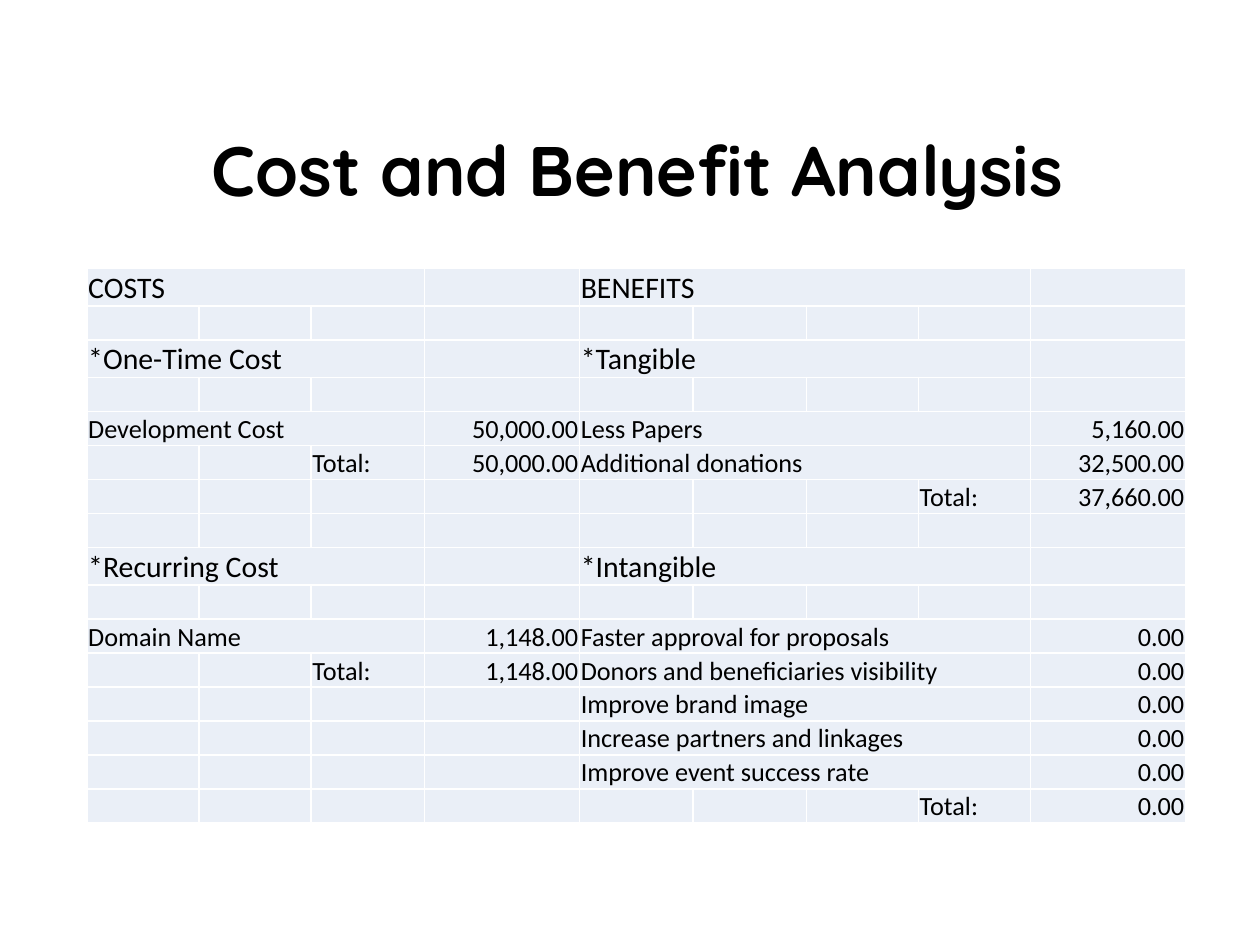
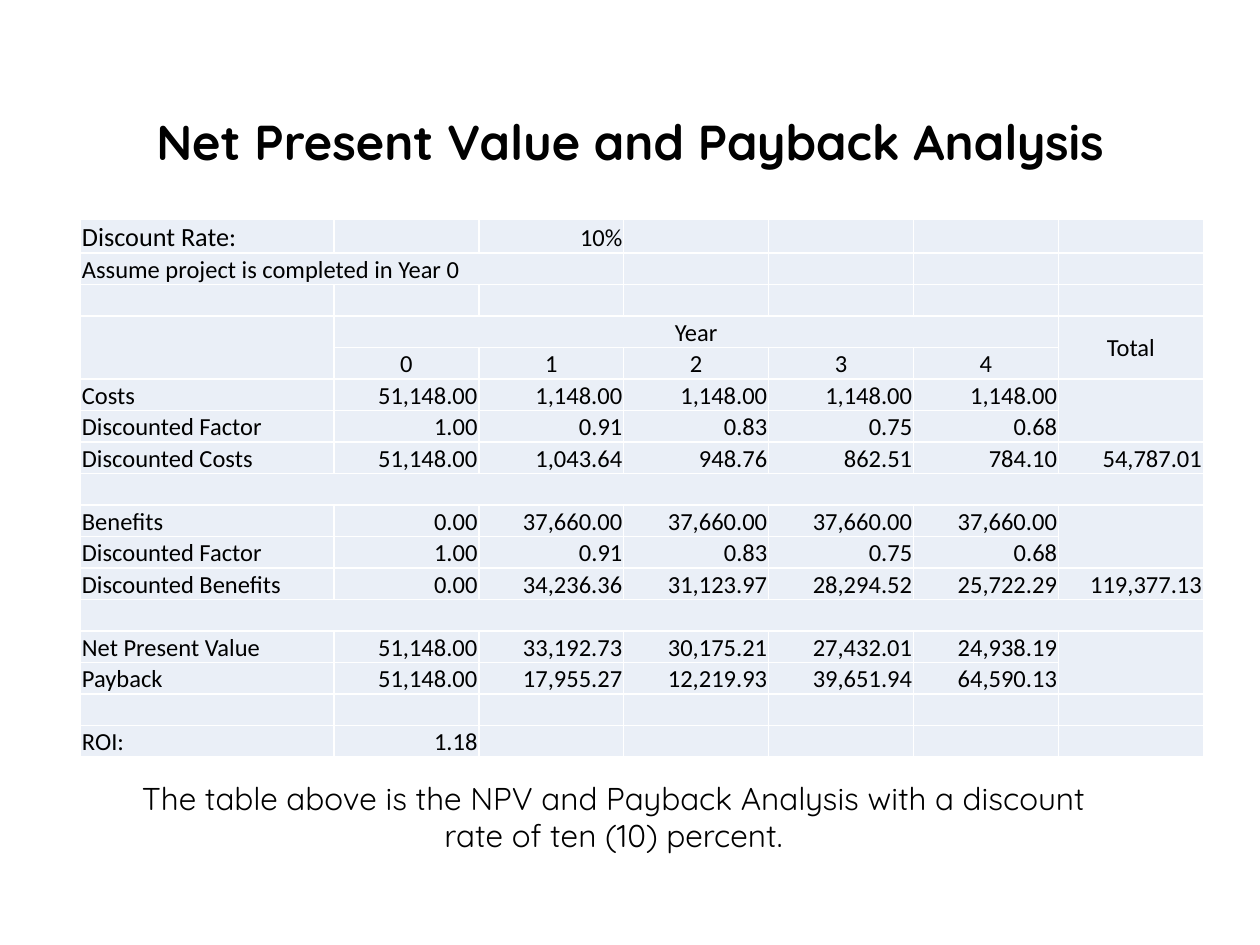
from dataclasses import dataclass

from pptx import Presentation
from pptx.dml.color import RGBColor
from pptx.enum.text import MSO_ANCHOR, MSO_AUTO_SIZE, PP_ALIGN
from pptx.oxml.xmlchemy import OxmlElement
from pptx.presentation import Presentation as Deck
from pptx.slide import Slide
from pptx.table import _Cell
from pptx.text.text import TextFrame
from pptx.util import Inches, Pt


@dataclass(frozen=True)
class Theme:
    ink: str = "000000"
    cell: str = "EAEFF7"
    rule: str = "FFFFFF"
    display_font: str = "Quicksand"
    table_font: str = "Calibri"
    large_title: int = 40
    small_title: int = 28
    caption: int = 18
    heading: int = 17
    entry: int = 15
    compact: int = 14
    rule_width: int = 1


@dataclass(frozen=True)
class Box:
    left: float
    top: float
    width: float
    height: float

    def lengths(self) -> tuple[int, int, int, int]:
        return Inches(self.left), Inches(self.top), Inches(self.width), Inches(self.height)


@dataclass(frozen=True)
class Entry:
    row: int
    column: int
    text: str = ""
    align: PP_ALIGN = PP_ALIGN.LEFT
    size: int = 0
    rows: int = 1
    columns: int = 1
    anchor: MSO_ANCHOR = MSO_ANCHOR.BOTTOM


@dataclass(frozen=True)
class Grid:
    left: float
    top: float
    column_widths: list[float]
    row_heights: list[float]
    size: int
    entries: list[Entry]


THEME = Theme()

COSTS_AND_BENEFITS = [
    ("COSTS", "", "BENEFITS", ""),
    ("", "", "", ""),
    ("*One-Time Cost", "", "*Tangible", ""),
    ("", "", "", ""),
    ("Development Cost", "50,000.00", "Less Papers", "5,160.00"),
    ("Total:", "50,000.00", "Additional donations", "32,500.00"),
    ("", "", "Total:", "37,660.00"),
    ("", "", "", ""),
    ("*Recurring Cost", "", "*Intangible", ""),
    ("", "", "", ""),
    ("Domain Name", "1,148.00", "Faster approval for proposals", "0.00"),
    ("Total:", "1,148.00", "Donors and beneficiaries visibility", "0.00"),
    ("", "", "Improve brand image", "0.00"),
    ("", "", "Increase partners and linkages", "0.00"),
    ("", "", "Improve event success rate", "0.00"),
    ("", "", "Total:", "0.00"),
]

DISCOUNT_FACTORS = ("Discounted Factor", "1.00", "0.91", "0.83", "0.75", "0.68")
YEARLY_FIGURES = {
    5: ("Costs", "51,148.00") + ("1,148.00",) * 4,
    6: DISCOUNT_FACTORS,
    7: ("Discounted Costs", "51,148.00", "1,043.64", "948.76", "862.51", "784.10", "54,787.01"),
    9: ("Benefits", "0.00") + ("37,660.00",) * 4,
    10: DISCOUNT_FACTORS,
    11: ("Discounted Benefits", "0.00", "34,236.36", "31,123.97", "28,294.52", "25,722.29",
         "119,377.13"),
    13: ("Net Present Value", "51,148.00", "33,192.73", "30,175.21", "27,432.01", "24,938.19"),
    14: ("Payback", "51,148.00", "17,955.27", "12,219.93", "39,651.94", "64,590.13"),
    16: ("ROI:", "1.18"),
}


def format_text(frame: TextFrame, font: str, size: int, align: PP_ALIGN, bold: bool = False) -> None:
    for paragraph in frame.paragraphs:
        paragraph.alignment = align
        for run in paragraph.runs:
            run.font.name = font
            run.font.size = Pt(size)
            run.font.bold = bold
            run.font.color.rgb = RGBColor.from_string(THEME.ink)


def add_titled_slide(deck: Deck, text: str, size: int, box: Box) -> Slide:
    slide = deck.slides.add_slide(deck.slide_layouts[5])
    title = slide.shapes.title
    title.left, title.top, title.width, title.height = box.lengths()
    frame = title.text_frame
    frame.text = text
    frame.word_wrap = True
    frame.auto_size = MSO_AUTO_SIZE.NONE
    frame.vertical_anchor = MSO_ANCHOR.MIDDLE
    frame.paragraphs[0].line_spacing = 0.9
    format_text(frame, THEME.display_font, size, PP_ALIGN.CENTER, bold=True)
    return slide


def add_caption(slide: Slide, text: str, box: Box) -> None:
    frame = slide.shapes.add_textbox(*box.lengths()).text_frame
    frame.text = text
    frame.word_wrap = True
    frame.auto_size = MSO_AUTO_SIZE.SHAPE_TO_FIT_TEXT
    format_text(frame, THEME.display_font, THEME.caption, PP_ALIGN.CENTER)


def style_cell(cell: _Cell, size: int) -> None:
    properties = cell._tc.get_or_add_tcPr()
    for side in ("lnL", "lnR", "lnT", "lnB"):
        line = OxmlElement(f"a:{side}")
        line.set("w", str(Pt(THEME.rule_width)))
        fill = OxmlElement("a:solidFill")
        color = OxmlElement("a:srgbClr")
        color.set("val", THEME.rule)
        fill.append(color)
        line.append(fill)
        properties.append(line)
    cell.fill.solid()
    cell.fill.fore_color.rgb = RGBColor.from_string(THEME.cell)
    cell.margin_left = cell.margin_right = cell.margin_top = Inches(0.01)
    cell.margin_bottom = 0
    cell.vertical_anchor = MSO_ANCHOR.BOTTOM
    ending = OxmlElement("a:endParaRPr")
    ending.set("sz", str(size * 100))
    cell.text_frame.paragraphs[0]._p.append(ending)


def add_grid(slide: Slide, grid: Grid) -> None:
    box = Box(grid.left, grid.top, sum(grid.column_widths), sum(grid.row_heights))
    table = slide.shapes.add_table(
        len(grid.row_heights), len(grid.column_widths), *box.lengths()
    ).table
    table.first_row = table.horz_banding = False
    for column, width in zip(table.columns, grid.column_widths):
        column.width = Inches(width)
    for row, height in zip(table.rows, grid.row_heights):
        row.height = Inches(height)
    for cell in table.iter_cells():
        style_cell(cell, grid.size)
    for entry in grid.entries:
        cell = table.cell(entry.row, entry.column)
        if entry.rows * entry.columns > 1:
            cell.merge(table.cell(entry.row + entry.rows - 1, entry.column + entry.columns - 1))
        cell.vertical_anchor = entry.anchor
        if entry.text:
            cell.text_frame.text = entry.text
            format_text(cell.text_frame, THEME.table_font, entry.size or grid.size, entry.align)


def is_heading(label: str) -> bool:
    return label.startswith("*") or label.isupper()


def ledger_entries() -> list[Entry]:
    entries = []
    for row, (cost, cost_amount, benefit, benefit_amount) in enumerate(COSTS_AND_BENEFITS):
        for label, amount, first, last in (
            (cost, cost_amount, 0, 2),
            (benefit, benefit_amount, 4, 7),
        ):
            if label == "Total:":
                entries.append(Entry(row, last, label))
            elif label:
                size = THEME.heading if is_heading(label) else THEME.entry
                entries.append(Entry(row, first, label, size=size, columns=last - first + 1))
            entries.append(Entry(row, last + 1, amount, PP_ALIGN.RIGHT))
    return entries


def payback_entries() -> list[Entry]:
    entries = [
        Entry(0, 0, "Discount Rate:", size=THEME.entry),
        Entry(0, 2, "10%", PP_ALIGN.RIGHT),
        Entry(1, 0, "Assume project is completed in Year 0", columns=3),
        Entry(3, 0, rows=2),
        Entry(3, 1, "Year", PP_ALIGN.CENTER, columns=5),
        Entry(3, 6, "Total", PP_ALIGN.CENTER, rows=2, anchor=MSO_ANCHOR.MIDDLE),
    ]
    entries += [Entry(4, year + 1, str(year), PP_ALIGN.CENTER) for year in range(5)]
    entries += [Entry(row, 6, rows=2) for row in (5, 9, 13)]
    entries += [Entry(row, 0, columns=7) for row in (8, 12)]
    for row, figures in YEARLY_FIGURES.items():
        for column, figure in enumerate(figures):
            entries.append(Entry(row, column, figure, PP_ALIGN.RIGHT if column else PP_ALIGN.LEFT))
    return entries


def main() -> None:
    deck = Presentation()
    deck.slide_width, deck.slide_height = Inches(10), Inches(7.5)

    analysis = add_titled_slide(
        deck, "Cost and Benefit Analysis", THEME.large_title, Box(1, 0.57, 8.12, 1.62)
    )
    ledger_heights = [0.29 if is_heading(row[0]) else 0.27 for row in COSTS_AND_BENEFITS]
    ledger_widths = [0.89, 0.89, 0.9, 1.23, 0.9, 0.9, 0.89, 0.89, 1.23]
    add_grid(
        analysis,
        Grid(0.69, 2.13, ledger_widths, ledger_heights, THEME.entry, ledger_entries()),
    )

    payback = add_titled_slide(
        deck, "Net Present Value and Payback Analysis", THEME.small_title,
        Box(0.94, 0.34, 8.12, 1.62),
    )
    add_caption(
        payback,
        "The table above is the NPV and Payback Analysis with a discount rate of ten (10) percent.",
        Box(0.9, 6.13, 7.94, 0.71),
    )
    add_grid(
        payback,
        Grid(0.64, 1.74, [2.01] + [1.15] * 6, [0.27] + [0.25] * 16, THEME.compact,
             payback_entries()),
    )
    deck.save("out.pptx")


if __name__ == "__main__":
    main()
